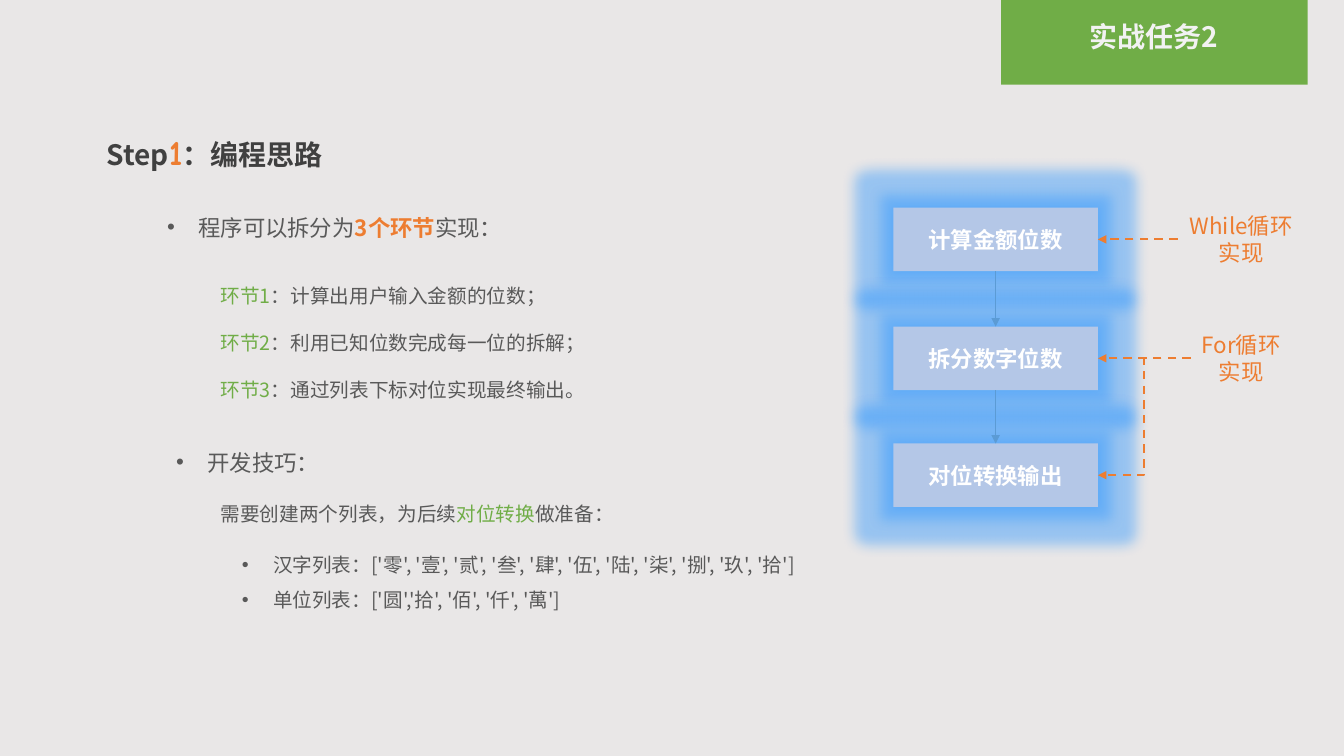
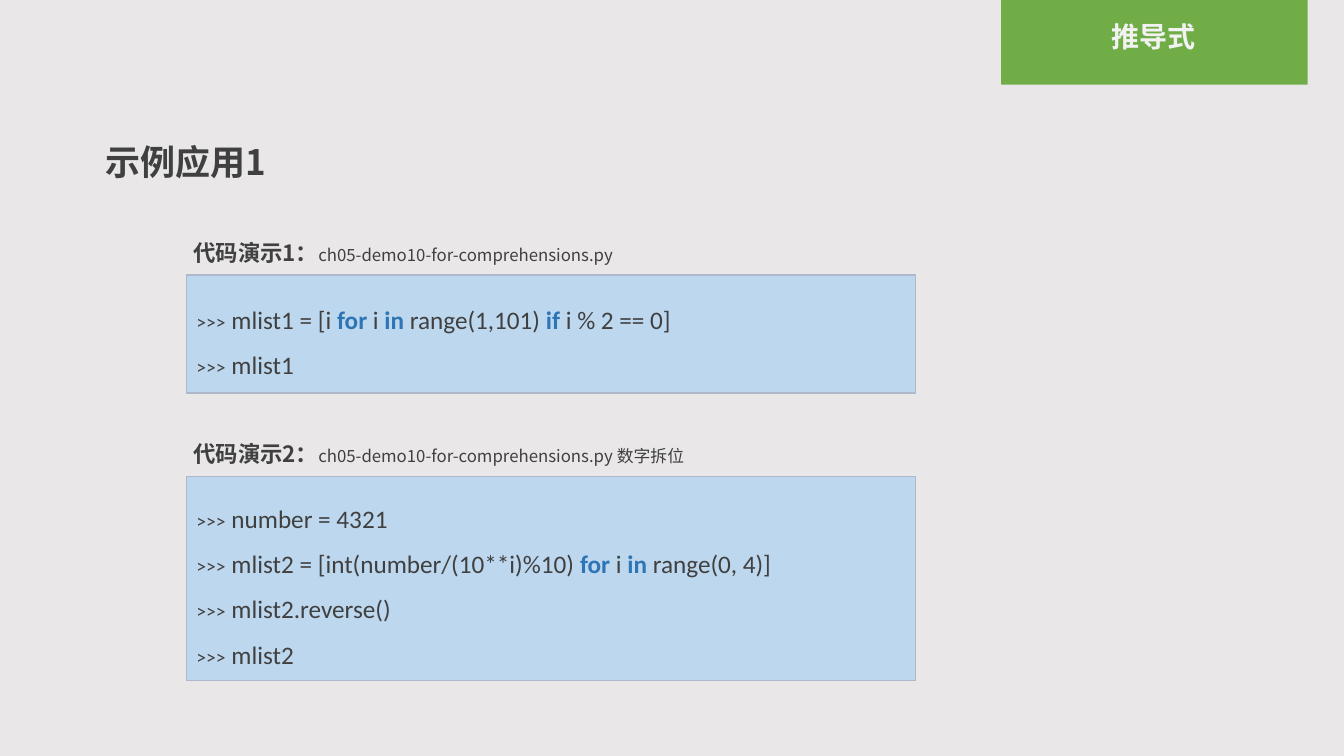
"""Build two lesson slides: a programming outline and list comprehension examples."""
from lxml import etree
from pptx import Presentation
from pptx.dml.color import RGBColor
from pptx.enum import dml, shapes, text
from pptx.oxml import ns
from pptx.util import Inches, Pt

BACKGROUND = RGBColor(0xE9, 0xE7, 0xE7)
GREEN = RGBColor(0x70, 0xAD, 0x47)
ORANGE = RGBColor(0xED, 0x7D, 0x31)
DARK = RGBColor(0x40, 0x40, 0x40)
GRAY = RGBColor(0x59, 0x59, 0x59)
WHITE = RGBColor(0xFF, 0xFF, 0xFF)
TAG_TEXT = RGBColor(0xF2, 0xF2, 0xF2)
STEP_FILL = RGBColor(0xB4, 0xC7, 0xE7)
ARROW = RGBColor(0x5B, 0x9B, 0xD5)
CODE_FILL = RGBColor(0xBD, 0xD7, 0xEE)
CODE_LINE = RGBColor(0xAD, 0xB9, 0xCA)
KEYWORD = RGBColor(0x2E, 0x75, 0xB6)
GLOW = RGBColor(0x33, 0x99, 0xFF)
SANS = "Noto Sans CJK SC"
LEFT, CENTER = text.PP_ALIGN.LEFT, text.PP_ALIGN.CENTER


def write(slide, area, paragraphs, size=14, color=GRAY, bold=False, font=SANS, align=LEFT,
          spacing=1, bullet=False, inset=0.05, fill=None, line=None):
    """Add a text box, or a filled rectangle, whose paragraphs are lists of (text, overrides)."""
    area = [Inches(length) for length in area]
    if fill is None:
        box = slide.shapes.add_textbox(*area)
    else:
        box = slide.shapes.add_shape(shapes.MSO_SHAPE.RECTANGLE, *area)
        box.shadow.inherit = False
        box.fill.solid()
        box.fill.fore_color.rgb = fill
        if line is None:
            box.line.fill.background()
        else:
            box.line.color.rgb = line
            box.line.width = Pt(1)
    frame = box.text_frame
    frame.word_wrap = True
    frame.margin_top = Inches(inset)
    frame.vertical_anchor = text.MSO_ANCHOR.TOP if fill is None else text.MSO_ANCHOR.MIDDLE
    for index, spans in enumerate(paragraphs):
        para = frame.add_paragraph() if index else frame.paragraphs[0]
        para.alignment = align
        para.line_spacing = spacing
        if bullet:
            properties = para._p.get_or_add_pPr()
            properties.set("marL", str(Inches(0.31)))
            properties.set("indent", str(-Inches(0.31)))
            etree.SubElement(properties, ns.qn("a:buFont")).set("typeface", "Arial")
            etree.SubElement(properties, ns.qn("a:buChar")).set("char", "•")
        for content, changes in spans:
            style = {"size": size, "color": color, "bold": bold, "font": font} | changes
            span = para.add_run()
            span.text = content
            span.font.size = Pt(style["size"])
            span.font.bold = style["bold"]
            span.font.color.rgb = style["color"]
            span.font.name = style["font"]
            etree.SubElement(span._r.rPr, ns.qn("a:ea")).set("typeface", SANS)
    return box


def connect(slide, start, end, color, width, dashed=False, kind=shapes.MSO_CONNECTOR.STRAIGHT):
    """Draw a connector with an arrowhead at its end."""
    link = slide.shapes.add_connector(kind, *[Inches(length) for length in (*start, *end)])
    link.line.color.rgb = color
    link.line.width = Pt(width)
    if dashed:
        link.line.dash_style = dml.MSO_LINE.DASH
    etree.SubElement(link.line._get_or_add_ln(), ns.qn("a:tailEnd")).set("type", "triangle")
    etree.SubElement(link._element.spPr, ns.qn("a:effectLst"))


deck = Presentation()
deck.slide_width, deck.slide_height = Inches(13.33), Inches(7.5)
background = deck.slide_master.background.fill
background.solid()
background.fore_color.rgb = BACKGROUND

pages = []
for tag in ("实战任务2", "推导式"):
    page = deck.slides.add_slide(deck.slide_layouts[6])
    write(page, (9.93, 0, 3.04, 0.84), [], fill=GREEN)
    write(page, (9.94, 0.23, 3, 0.42), [[(tag, {})]], size=20, color=TAG_TEXT, bold=True,
          align=CENTER, spacing=0.9, inset=0)
    pages.append(page)
outline, examples = pages

write(outline, (0.96, 1.25, 11.59, 0.52),
      [[("Step", {}), ("1", {"size": 25, "font": "Comic Neue", "color": ORANGE}),
        ("：编程思路", {})]], size=20, color=DARK, bold=True)
write(outline, (1.56, 1.94, 3.7, 0.5),
      [[("程序可以拆分为", {}), ("3个环节", {"color": ORANGE, "bold": True}), ("实现：", {})]],
      size=16, spacing=1.5, bullet=True)
stages = ("计算出用户输入金额的位数；", "利用已知位数完成每一位的拆解；", "通过列表下标对位实现最终输出。")
write(outline, (2.09, 2.53, 4, 1.51),
      [[(f"环节{number}", {"color": GREEN}), (f"：{stage}", {})]
       for number, stage in enumerate(stages, 1)], spacing=2)
write(outline, (1.65, 4.27, 1.8, 0.5), [[("开发技巧：", {})]], size=16, spacing=1.5, bullet=True)
write(outline, (2.09, 4.81, 6.35, 0.41),
      [[("需要创建两个列表，为后续", {}), ("对位转换", {"color": GREEN}), ("做准备：", {})]],
      spacing=1.5)
write(outline, (2.3, 5.32, 6.67, 0.81),
      [[("汉字列表：['零', '壹', '贰', '叁', '肆', '伍', '陆', '柒', '捌', '玖', '拾']", {})],
       [("单位列表：['圆','拾', '佰', '仟', '萬']", {})]], spacing=1.5, bullet=True)

STEP_LEFT, STEP_WIDTH, STEP_HEIGHT = 8.86, 2.03, 0.63
STEP_RIGHT, STEP_CENTER = STEP_LEFT + STEP_WIDTH, STEP_LEFT + STEP_WIDTH / 2
step_tops = [2.06, 3.24, 4.4]
step_middles = [top + STEP_HEIGHT / 2 for top in step_tops]
for top, label in zip(step_tops, ("计算金额位数", "拆分数字位数", "对位转换输出")):
    step = write(outline, (STEP_LEFT, top, STEP_WIDTH, STEP_HEIGHT), [[(label, {})]], size=16,
                 color=WHITE, bold=True, font="Calibri", align=CENTER, fill=STEP_FILL)
    effects = step._element.spPr.find(ns.qn("a:effectLst"))
    for effect, radius_name, radius in (("glow", "rad", 0.25), ("outerShdw", "blurRad", 0.1)):
        halo = etree.SubElement(effects, ns.qn(f"a:{effect}"))
        halo.set(radius_name, str(Inches(radius)))
        tint = etree.SubElement(halo, ns.qn("a:srgbClr"))
        tint.set("val", str(GLOW))
        etree.SubElement(tint, ns.qn("a:alpha")).set("val", "40000")
for top, following in zip(step_tops, step_tops[1:]):
    connect(outline, (STEP_CENTER, top + STEP_HEIGHT), (STEP_CENTER, following), ARROW, 0.5)

for left, top, width, loop in ((11.68, 2.06, 1.26, "While循环"), (11.81, 3.24, 1, "For循环")):
    write(outline, (left, top, width, 0.64), [[(loop, {})], [("实现", {})]], size=16,
          color=ORANGE, align=CENTER)
    middle = top + STEP_HEIGHT / 2
    connect(outline, (left, middle), (STEP_RIGHT, middle), ORANGE, 1.5, dashed=True)
connect(outline, (11.81, step_middles[1]), (STEP_RIGHT, step_middles[2]), ORANGE, 1.5,
        dashed=True, kind=shapes.MSO_CONNECTOR.ELBOW)

write(examples, (0.95, 1.34, 1.82, 0.52), [[("示例应用1", {})]], size=25, color=DARK, bold=True)
demos = (
    (2.32, 1.17, "代码演示1：", "ch05-demo10-for-comprehensions.py",
     ("mlist1 = [i for i in range(1,101) if i % 2 == 0]", "mlist1")),
    (4.32, 2.02, "代码演示2：", "ch05-demo10-for-comprehensions.py 数字拆位",
     ("number = 4321", "mlist2 = [int(number/(10**i)%10) for i in range(0, 4)]",
      "mlist2.reverse()", "mlist2")),
)
for top, height, label, file_name, code in demos:
    lines = []
    for statement in code:
        spans = [(">>>", {"size": 14})]
        for word in statement.split(" "):
            is_keyword = word in ("for", "in", "if")
            spans.append((f" {word}", {"color": KEYWORD, "bold": True} if is_keyword else {}))
        lines.append(spans)
    write(examples, (1.85, top + 0.41, 7.23, height), lines, size=18, color=DARK,
          font="Calibri", spacing=1.5, fill=CODE_FILL, line=CODE_LINE)
    write(examples, (1.82, top, 8.43, 0.57),
          [[(label, {"size": 16, "bold": True}), (file_name, {})]], size=12, color=DARK)

deck.save("out.pptx")
